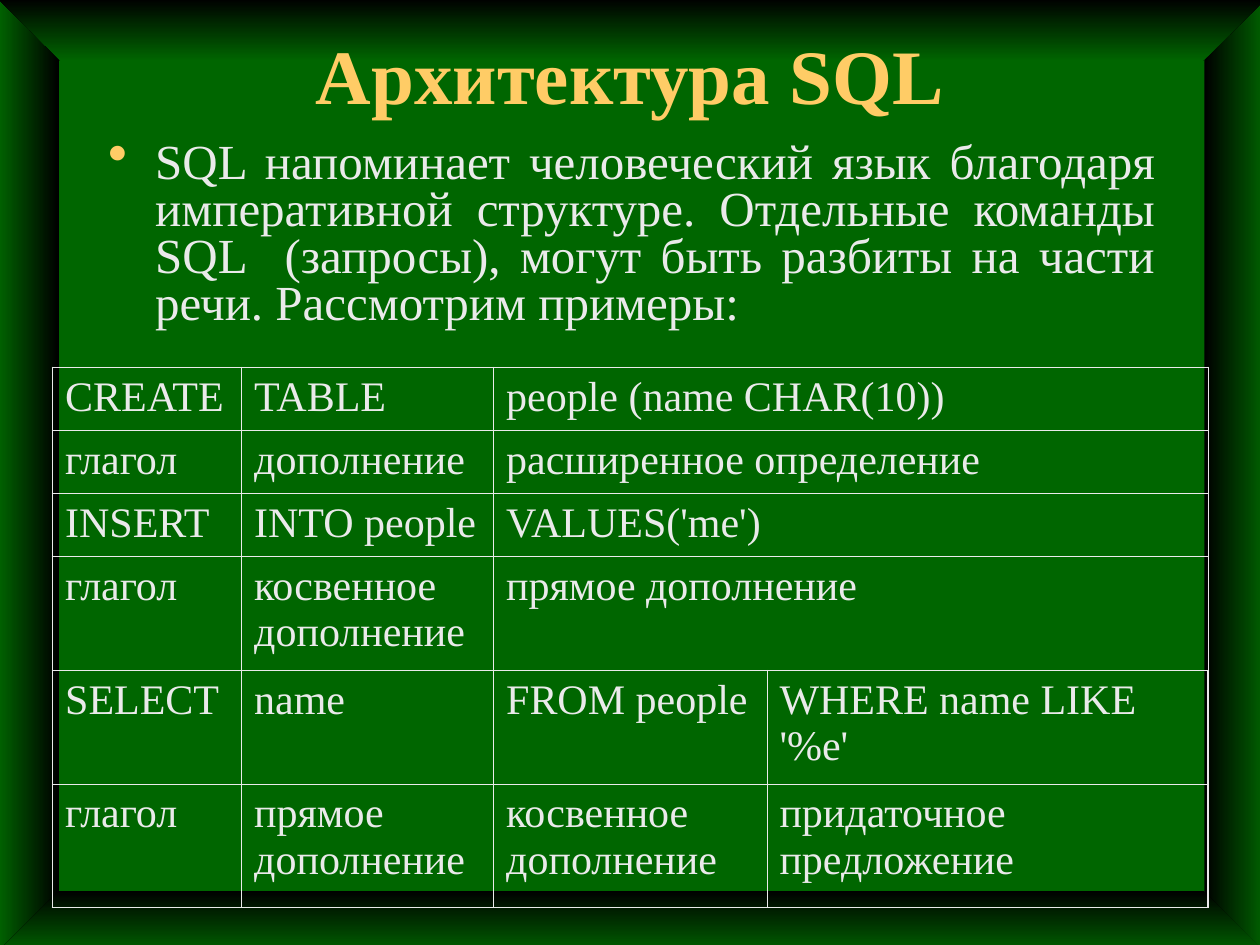
"""Build the slide on the parts of speech in SQL commands."""
import pptx
import pptx.dml.color
import pptx.enum.shapes
import pptx.enum.text
import pptx.oxml
import pptx.oxml.ns
import pptx.util

Cm = pptx.util.Cm
Pt = pptx.util.Pt
RGBColor = pptx.dml.color.RGBColor
ALIGN = pptx.enum.text.PP_ALIGN

GREEN = RGBColor(0x00, 0x66, 0x00)
BLACK = RGBColor(0x00, 0x00, 0x00)
GOLD = RGBColor(0xFF, 0xCC, 0x66)
PALE = RGBColor(0xEA, 0xEA, 0xEA)
FACE = "Times New Roman"

TITLE = "Архитектура SQL"
BODY = ("SQL напоминает человеческий язык благодаря императивной структуре. "
        "Отдельные команды SQL  (запросы), могут быть разбиты на части речи. "
        "Рассмотрим примеры:")
ROWS = [
    ["CREATE", "TABLE", "people (name CHAR(10))"],
    ["глагол", "дополнение", "расширенное определение"],
    ["INSERT", "INTO people", "VALUES('me')"],
    ["глагол", "косвенное дополнение", "прямое дополнение"],
    ["SELECT", "name", "FROM people", "WHERE name LIKE '%e'"],
    ["глагол", "прямое дополнение", "косвенное дополнение",
     "придаточное предложение"],
]
WIDTHS = [3.81, 5.08, 5.51, 8.89]
HEIGHTS = [1.27, 1.27, 1.27, 2.29, 2.29, 2.49]


def shade(shape, angle):
    """Fill a frame side with a gradient from black to green."""
    shape.shadow.inherit = False
    shape.line.fill.background()
    shape.fill.gradient()
    shape.fill.gradient_angle = angle
    for stop, color in zip(shape.fill.gradient_stops, (BLACK, GREEN)):
        stop.color.rgb = color


def add_side(slide, left, angle):
    """Add an upright side of the frame."""
    kind = pptx.enum.shapes.MSO_SHAPE.RECTANGLE
    side = slide.shapes.add_shape(kind, Cm(left), Cm(-0.03), Cm(1.27), Cm(19.25))
    shade(side, angle)


def add_edge(slide, points):
    """Add the slanted top or bottom of the frame."""
    start, *rest = [(Cm(x), Cm(y)) for x, y in points]
    form = slide.shapes.build_freeform(*start)
    form.add_line_segments(rest, close=True)
    shade(form.convert_to_shape(), 270)


def style(para, size, color, bold=False):
    """Set the font of a paragraph."""
    font = para.font
    font.name, font.size, font.bold = FACE, Pt(size), bold
    font.color.rgb = color


def add_text(slide, text, left, top, width, height):
    """Add a wrapped text box and return its frame."""
    box = slide.shapes.add_textbox(Cm(left), Cm(top), Cm(width), Cm(height))
    frame = box.text_frame
    frame.word_wrap = True
    frame.text = text
    return frame


def add_title(slide):
    """Add the centred title."""
    frame = add_text(slide, TITLE, 1.9, 0.43, 21.6, 2.11)
    frame.vertical_anchor = pptx.enum.text.MSO_ANCHOR.MIDDLE
    para = frame.paragraphs[0]
    para.alignment = ALIGN.CENTER
    style(para, 44, GOLD, True)


def add_body(slide):
    """Add the justified bullet paragraph."""
    para = add_text(slide, BODY, 1.93, 2.74, 21.6, 4.45).paragraphs[0]
    para.alignment = ALIGN.JUSTIFY
    para.line_spacing = 0.8
    props = para._p.get_or_add_pPr()
    props.set("marL", str(Cm(0.95)))
    props.set("indent", str(Cm(-0.95)))
    space = pptx.oxml.ns.nsdecls("a")
    for mark in (f'<a:buClr {space}><a:srgbClr val="{GOLD}"/></a:buClr>',
                 f'<a:buSzPct {space} val="115000"/>',
                 f'<a:buChar {space} char="•"/>'):
        props.append(pptx.oxml.parse_xml(mark))
    style(para, 28, PALE)


def rule_cell(cell, outer):
    """Draw the four borders of a cell, thicker on outer sides."""
    props = cell._tc.get_or_add_tcPr()
    space = pptx.oxml.ns.nsdecls("a")
    for side in "LRTB":
        width = Pt(1.08 if side in outer else 0.45)
        props.append(pptx.oxml.parse_xml(
            f'<a:ln{side} {space} w="{width}"><a:solidFill>'
            f'<a:srgbClr val="{PALE}"/></a:solidFill></a:ln{side}>'))
    cell.fill.background()


def add_grid(slide):
    """Add the table of commands and parts of speech."""
    high, wide = len(HEIGHTS), len(WIDTHS)
    grid = slide.shapes.add_table(high, wide, Cm(1.06), Cm(7.41),
                                  Cm(sum(WIDTHS)), Cm(sum(HEIGHTS))).table
    grid.first_row = grid.horz_banding = False
    for col, width in zip(grid.columns, WIDTHS):
        col.width = Cm(width)
    for i, texts in enumerate(ROWS):
        grid.rows[i].height = Cm(HEIGHTS[i])
        for j in range(wide):
            outer = [side for side, edge in zip(
                "LRTB", (j == 0, j == wide - 1, i == 0, i == high - 1)) if edge]
            rule_cell(grid.cell(i, j), outer)
        for j, text in enumerate(texts):
            cell = grid.cell(i, j)
            cell.text = text
            style(cell.text_frame.paragraphs[0], 24, PALE)
        if len(texts) < wide:
            grid.cell(i, len(texts) - 1).merge(grid.cell(i, wide - 1))


def main():
    """Build and save the deck."""
    deck = pptx.Presentation()
    deck.slide_width, deck.slide_height = Cm(25.4), Cm(19.05)
    slide = deck.slides.add_slide(deck.slide_layouts[6])
    slide.background.fill.solid()
    slide.background.fill.fore_color.rgb = GREEN
    add_side(slide, 24.28, 0)
    add_side(slide, -0.08, 180)
    add_edge(slide, [(-0.05, -0.03), (25.53, -0.03), (24.23, 1.24), (1.24, 1.24)])
    add_edge(slide, [(-0.1, 19.25), (25.55, 19.25), (24.26, 17.96), (1.19, 17.96)])
    add_title(slide)
    add_body(slide)
    add_grid(slide)
    deck.save("out.pptx")


if __name__ == "__main__":
    main()
